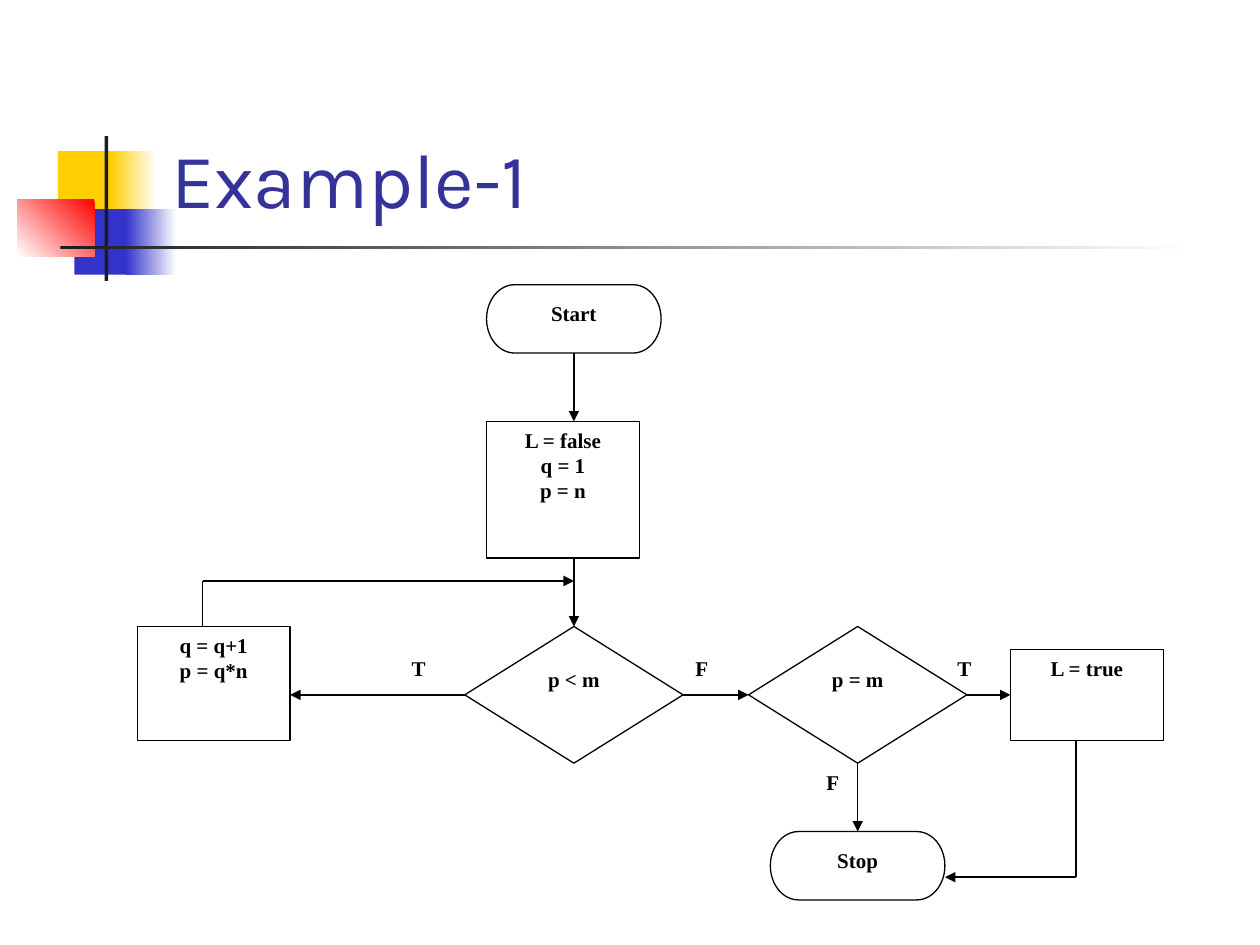
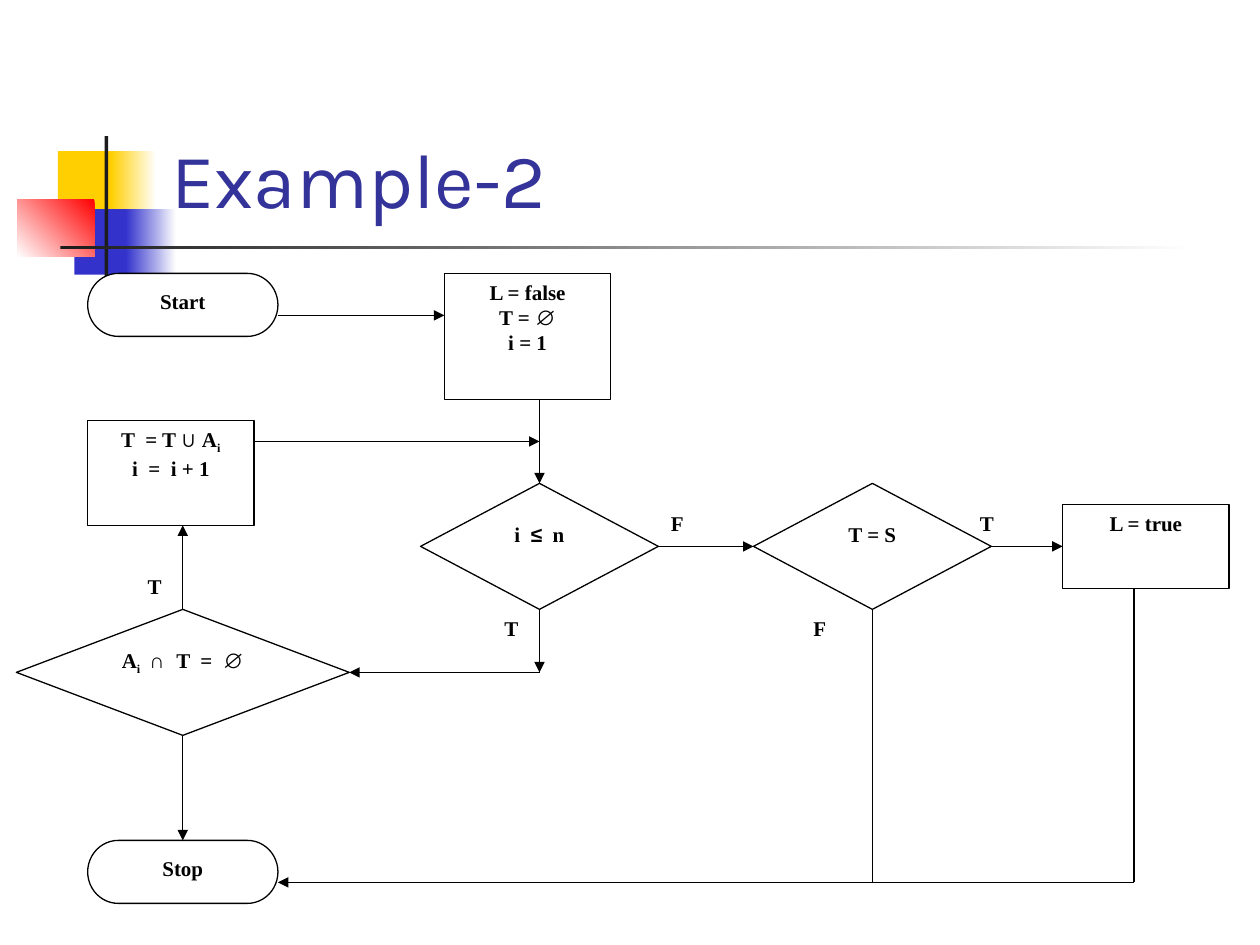
"""Build two flowchart slides that share one decorated title layout."""
from dataclasses import dataclass
from itertools import pairwise

from lxml import etree
from pptx import Presentation
from pptx.dml.color import RGBColor
from pptx.enum.shapes import MSO_CONNECTOR, MSO_SHAPE
from pptx.enum.text import MSO_ANCHOR, MSO_AUTO_SIZE, PP_ALIGN
from pptx.oxml.ns import qn
from pptx.util import Inches, Pt

BLACK = RGBColor(0x00, 0x00, 0x00)
WHITE = RGBColor(0xFF, 0xFF, 0xFF)
CHARCOAL = RGBColor(0x1C, 0x1C, 0x1C)
YELLOW = RGBColor(0xFF, 0xCF, 0x01)
BLUE = RGBColor(0x33, 0x33, 0xCC)
RED = RGBColor(0xFF, 0x00, 0x00)
TITLE_BLUE = RGBColor(0x33, 0x33, 0x99)

TITLE_FONT = "Karla"
TEXT_FONT = "Times New Roman"
SYMBOL_FONT = "Arial"
SYMBOLS = "∅≤∪∩"
SUBSCRIPT = "_"
LINE_WIDTH = Pt(0.75)

TERMINATOR = MSO_SHAPE.FLOWCHART_TERMINATOR
PROCESS = MSO_SHAPE.FLOWCHART_PROCESS
DECISION = MSO_SHAPE.FLOWCHART_DECISION

# Left, top, width, height, colour and the angle of a fade to white.
DECORATION = [
    (0.46, 1.2, 0.48, 0.52, YELLOW, None),
    (0.88, 1.2, 0.36, 0.52, YELLOW, 0),
    (0.59, 1.66, 0.46, 0.52, BLUE, None),
    (1, 1.66, 0.4, 0.52, BLUE, 0),
    (0.14, 1.58, 0.61, 0.46, RED, 225),
    (0.83, 1.08, 0.03, 1.15, CHARCOAL, None),
    (0.48, 1.95, 9, 0.03, CHARCOAL, 0),
]


@dataclass
class Grid:
    """Place columns and rows of a flowchart on its slide."""
    left: float
    top: float
    column: float
    row: float

    def point(self, column, row):
        """Return the position of a grid crossing."""
        return (Inches(self.left + column * self.column),
                Inches(self.top + row * self.row))

    def box(self, column, row, columns, rows):
        """Return left, top, width and height of a block of cells."""
        return (*self.point(column, row),
                Inches(columns * self.column), Inches(rows * self.row))


def decorate_layout(slide, layout):
    """Draw the coloured bands and move them into the layout."""
    for placeholder in list(layout.placeholders):
        if placeholder.placeholder_format.idx != 0:
            layout.shapes.element.remove(placeholder.element)
    for *box, color, angle in DECORATION:
        band = slide.shapes.add_shape(MSO_SHAPE.RECTANGLE, *map(Inches, box))
        band.shadow.inherit = False
        band.line.fill.background()
        if angle is None:
            band.fill.solid()
            band.fill.fore_color.rgb = color
        else:
            band.fill.gradient()
            band.fill.gradient_angle = angle
            for stop, stop_color in zip(band.fill.gradient_stops, (color, WHITE)):
                stop.color.rgb = stop_color
        layout.shapes.element.append(band.element)


def set_title(slide, text):
    """Place and format the slide title."""
    title = slide.shapes.title
    title.left, title.top, title.width, title.height = map(
        Inches, (1.26, 0.23, 8.52, 1.6))
    frame = title.text_frame
    frame.text = text
    frame.auto_size = MSO_AUTO_SIZE.NONE
    frame.vertical_anchor = MSO_ANCHOR.BOTTOM
    paragraph = frame.paragraphs[0]
    paragraph.alignment = PP_ALIGN.LEFT
    paragraph.font.name = TITLE_FONT
    paragraph.font.size = Pt(44)
    paragraph.font.color.rgb = TITLE_BLUE


def write_lines(shape, lines, alignment):
    """Write lines of runs, with symbols and subscripts marked by their text."""
    frame = shape.text_frame
    frame.word_wrap = True
    frame.vertical_anchor = MSO_ANCHOR.TOP
    for index, runs in enumerate(lines):
        paragraph = frame.add_paragraph() if index else frame.paragraphs[0]
        paragraph.alignment = alignment
        paragraph.font.name = TEXT_FONT
        paragraph.font.size = Pt(12)
        paragraph.font.bold = True
        paragraph.font.color.rgb = BLACK
        for text in [runs] if isinstance(runs, str) else runs:
            run = paragraph.add_run()
            run.text = text.removeprefix(SUBSCRIPT)
            if text[0] in SYMBOLS:
                run.font.name = SYMBOL_FONT
            if text.startswith(SUBSCRIPT):
                run._r.get_or_add_rPr().set("baseline", "-25000")


def add_node(slide, grid, kind, cells, *lines):
    """Add an outlined flowchart node with centred text."""
    node = slide.shapes.add_shape(kind, *grid.box(*cells))
    node.shadow.inherit = False
    node.fill.solid()
    node.fill.fore_color.rgb = WHITE
    node.line.color.rgb = BLACK
    node.line.width = LINE_WIDTH
    write_lines(node, lines, PP_ALIGN.CENTER)


def add_label(slide, grid, cells, text):
    """Add the label of a branch."""
    label = slide.shapes.add_textbox(*grid.box(*cells))
    write_lines(label, [text], PP_ALIGN.LEFT)


def add_route(slide, grid, *stops, arrow=True):
    """Join grid crossings by lines, with an arrowhead at the last one."""
    for start, end in pairwise(stops):
        connector = slide.shapes.add_connector(
            MSO_CONNECTOR.STRAIGHT, *grid.point(*start), *grid.point(*end))
        connector.line.color.rgb = BLACK
        connector.line.width = LINE_WIDTH
        if arrow and end == stops[-1]:
            line = connector.line._get_or_add_ln()
            etree.SubElement(line, qn("a:tailEnd"), type="triangle")
        etree.SubElement(connector.element.spPr, qn("a:effectLst"))


def draw_flowchart(slide, grid, nodes, routes, labels):
    """Draw the nodes, arrows and branch labels of one flowchart."""
    for node in nodes:
        add_node(slide, grid, *node)
    for route in routes:
        add_route(slide, grid, *route)
    for label in labels:
        add_label(slide, grid, *label)


def draw_power_search(slide):
    """Draw the flowchart of the first example."""
    grid = Grid(1.09, 2.26, 6.93 / 40, 4.34 / 24)
    nodes = [
        (TERMINATOR, (16, 0, 8, 3), "Start"),
        (PROCESS, (16, 6, 7, 6), "L = false", "q = 1", "p = n"),
        (DECISION, (15, 15, 10, 6), "p < m"),
        (PROCESS, (0, 15, 7, 5), "q = q+1", "p = q*n"),
        (DECISION, (28, 15, 10, 6), "p = m"),
        (PROCESS, (40, 16, 7, 4), "L = true"),
        (TERMINATOR, (29, 24, 8, 3), "Stop"),
    ]
    routes = [
        [(20, 3), (20, 6)],
        [(20, 12), (20, 15)],
        [(15, 18), (7, 18)],
        [(3, 15), (3, 13), (20, 13)],
        [(25, 18), (28, 18)],
        [(38, 18), (40, 18)],
        [(33, 21), (33, 24)],
        [(43, 20), (43, 26), (37, 26)],
    ]
    labels = [
        ((12, 16, 2, 3), "T"),
        ((25, 16, 3, 2), "F"),
        ((31, 21, 2, 3), "F"),
        ((37, 16, 2, 3), "T"),
    ]
    draw_flowchart(slide, grid, nodes, routes, labels)


def draw_set_union(slide):
    """Draw the flowchart of the second example."""
    grid = Grid(0.13, 2.17, 8.87 / 47, 1 / 6)
    nodes = [
        (TERMINATOR, (3, 0, 8, 3), "Start"),
        (PROCESS, (18, 0, 7, 6), "L = false", ["T = ", "∅"], "i = 1"),
        (DECISION, (17, 10, 10, 6), ["i  ", "≤", "  n"]),
        (PROCESS, (3, 7, 7, 5), ["T  = T ", "∪ ", "A", "_i"], "i  =  i + 1"),
        (DECISION, (0, 16, 14, 6), ["A", "_i   ", "∩  ", "T  =  ", "∅"]),
        (DECISION, (31, 10, 10, 6), "T = S"),
        (PROCESS, (44, 11, 7, 4), "L = true"),
        (TERMINATOR, (3, 27, 8, 3), "Stop"),
    ]
    routes = [
        [(11, 2), (18, 2)],
        [(22, 6), (22, 10)],
        [(10, 8), (22, 8)],
        [(22, 16), (22, 19)],
        [(22, 19), (14, 19)],
        [(7, 16), (7, 12)],
        [(7, 22), (7, 27)],
        [(27, 13), (31, 13)],
        [(41, 13), (44, 13)],
        [(47, 15), (47, 29), (11, 29)],
    ]
    labels = [
        ((27, 11, 3, 2), "F"),
        ((5, 14, 2, 3), "T"),
        ((20, 16, 2, 3), "T"),
        ((40, 11, 3, 2), "T"),
        ((33, 16, 3, 2), "F"),
    ]
    draw_flowchart(slide, grid, nodes, routes, labels)
    add_route(slide, grid, (36, 16), (36, 29), arrow=False)


def main():
    """Build and save the presentation."""
    presentation = Presentation()
    presentation.slide_width = Inches(10)
    presentation.slide_height = Inches(7.5)
    layout = presentation.slide_layouts[5]
    examples = [("Example-1", draw_power_search), ("Example-2", draw_set_union)]
    for index, (title, draw) in enumerate(examples):
        slide = presentation.slides.add_slide(layout)
        if index == 0:
            decorate_layout(slide, layout)
        set_title(slide, title)
        draw(slide)
    presentation.save("out.pptx")


if __name__ == "__main__":
    main()
